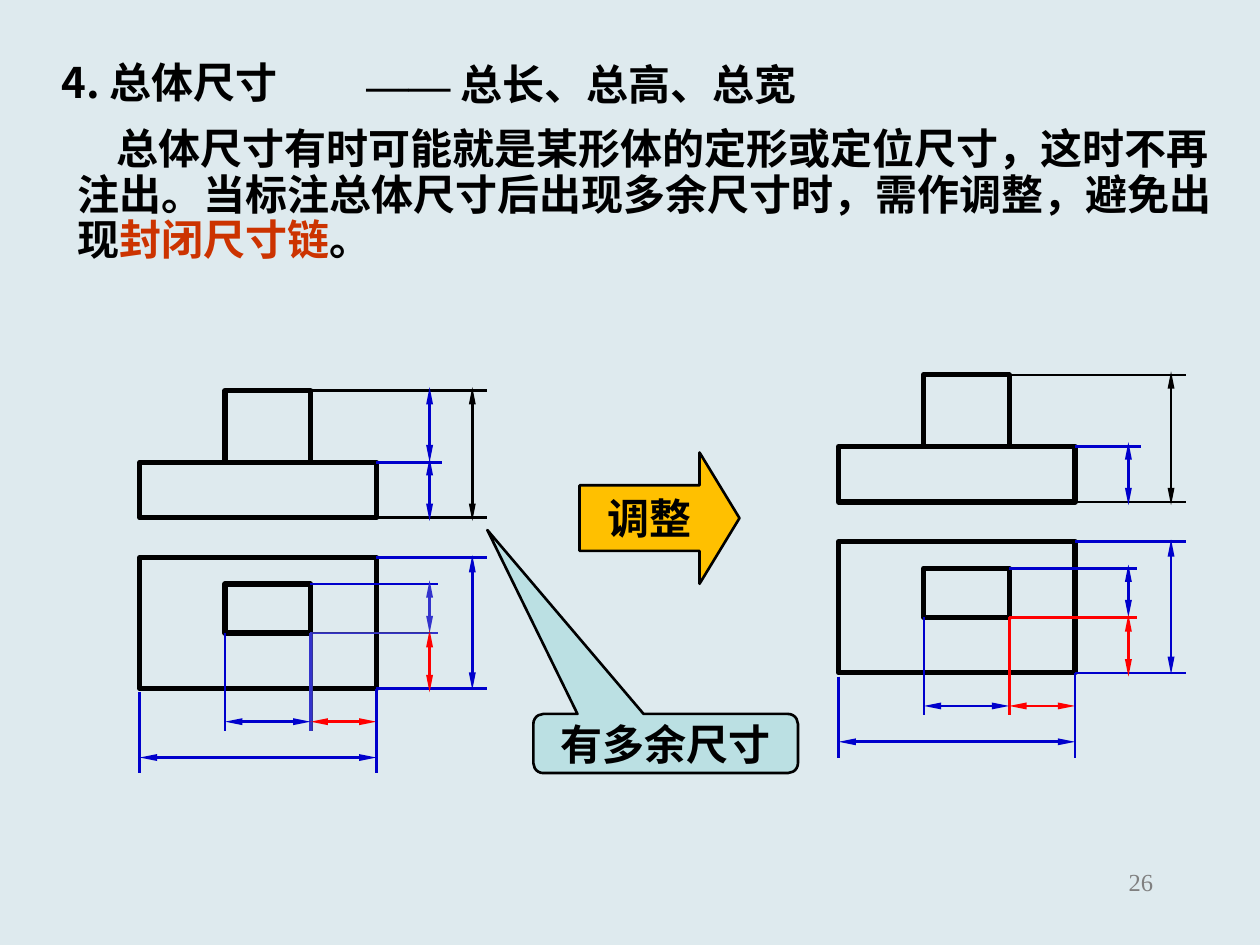
"""Build the overall-dimensions slide with two dimensioned drawings."""
from dataclasses import dataclass

import lxml.etree
import pptx
import pptx.dml.color
import pptx.enum.shapes
import pptx.enum.text
import pptx.oxml.ns
import pptx.util

Pt = pptx.util.Pt
qn = pptx.oxml.ns.qn
Shape = pptx.enum.shapes.MSO_SHAPE
Align = pptx.enum.text.PP_ALIGN
Anchor = pptx.enum.text.MSO_ANCHOR


@dataclass(frozen=True)
class Theme:
    """Colours, fonts and sizes of the slide."""
    background: str = "DEEAEE"
    ink: str = "000000"
    emphasis: str = "CC3300"
    muted: str = "808080"
    blue: str = "0000CC"
    violet: str = "3333CC"
    indigo: str = "333399"
    red: str = "FF0000"
    arrow: str = "FFC000"
    callout: str = "BBE0E3"
    sans: str = "Noto Sans CJK SC"
    serif: str = "Times New Roman"
    text_size: float = 24
    number_size: float = 14
    outline: float = 3
    thin: float = 1.5
    hairline: float = 0.75


THEME = Theme()


@dataclass(frozen=True)
class Box:
    """Rectangle in points."""
    x: float
    y: float
    w: float
    h: float

    def place(self) -> tuple:
        """Return the position and size as lengths."""
        return Pt(self.x), Pt(self.y), Pt(self.w), Pt(self.h)


@dataclass(frozen=True)
class Stroke:
    """Extension line, or dimension line when it has arrows."""
    x1: float
    y1: float
    x2: float
    y2: float
    color: str
    arrows: bool = False
    width: float = THEME.thin


@dataclass(frozen=True)
class Drawing:
    """Origin of a two-view drawing and what varies in it."""
    x: float
    y: float
    corner: str
    boss_depth: str
    extra: tuple = ()


PARTS = (
    Box(0, 41, 135.2, 31.7),
    Box(48.7, 0, 48.8, 41),
    Box(0, 95.4, 135.2, 74.9),
    Box(48.7, 110.5, 48.8, 28.1),
)
BOSS_HEIGHT = Stroke(165.6, -2, 165.6, 41, THEME.blue, True)
DRAWINGS = (
    Drawing(79.9, 223.2, THEME.violet, THEME.violet, (BOSS_HEIGHT,)),
    Drawing(479.2, 214.2, THEME.red, THEME.blue),
)


def rgb(value: str) -> pptx.dml.color.RGBColor:
    """Return a colour object."""
    return pptx.dml.color.RGBColor.from_string(value)


def style_run(run, color: str = THEME.ink, font: str = THEME.sans,
              size: float = THEME.text_size, bold: bool = True) -> None:
    """Format a run, including its East Asian font."""
    run.font.size = Pt(size)
    run.font.bold = bold
    run.font.color.rgb = rgb(color)
    run.font.name = font
    latin = run.font._element.find(qn("a:latin"))
    east_asian = lxml.etree.Element(qn("a:ea"), typeface=font)
    latin.addnext(east_asian)


def add_text(slide, box: Box):
    """Add a wrapping text box and return its frame."""
    frame = slide.shapes.add_textbox(*box.place()).text_frame
    frame.word_wrap = True
    return frame


def add_run(paragraph, text: str, **style) -> None:
    """Append a formatted run."""
    run = paragraph.add_run()
    run.text = text
    style_run(run, **style)


def draw_shape(slide, kind, box: Box, fill: str = "", width: float = THEME.thin):
    """Add an outlined shape."""
    shape = slide.shapes.add_shape(kind, *box.place())
    shape.shadow.inherit = False
    if fill:
        shape.fill.solid()
        shape.fill.fore_color.rgb = rgb(fill)
    else:
        shape.fill.background()
    shape.line.color.rgb = rgb(THEME.ink)
    shape.line.width = Pt(width)
    return shape


def draw_label(slide, kind, box: Box, fill: str, adjustments: tuple, text: str) -> None:
    """Add a filled shape with centred text."""
    shape = draw_shape(slide, kind, box, fill)
    for index, value in enumerate(adjustments):
        shape.adjustments[index] = value
    frame = shape.text_frame
    frame.word_wrap = False
    frame.vertical_anchor = Anchor.MIDDLE
    frame.text = text
    frame.paragraphs[0].alignment = Align.CENTER
    style_run(frame.paragraphs[0].runs[0])


def draw_stroke(slide, stroke: Stroke, x: float = 0, y: float = 0) -> None:
    """Add a line moved by the given origin."""
    line = slide.shapes.add_connector(
        pptx.enum.shapes.MSO_CONNECTOR.STRAIGHT,
        Pt(x + stroke.x1), Pt(y + stroke.y1), Pt(x + stroke.x2), Pt(y + stroke.y2))
    line.line.color.rgb = rgb(stroke.color)
    line.line.width = Pt(stroke.width)
    properties = line._element.spPr
    if stroke.arrows:
        for end in ("a:headEnd", "a:tailEnd"):
            lxml.etree.SubElement(properties.find(qn("a:ln")), qn(end),
                                  type="triangle", w="sm", len="lg")
    lxml.etree.SubElement(properties, qn("a:effectLst"))


def dimension_strokes(drawing: Drawing) -> tuple:
    """Return the extension and dimension lines of a drawing."""
    ink, blue, red = THEME.ink, THEME.blue, THEME.red
    return (
        Stroke(97.5, 0, 198.6, 0, ink),
        Stroke(135.2, 41, 172.6, 41, blue),
        Stroke(135.2, 72.7, 198.6, 72.7, ink),
        Stroke(165.6, 38.5, 165.6, 74.5, blue, True),
        Stroke(190, -2, 190, 74.5, ink, True),
        Stroke(135.2, 95.4, 198.6, 95.4, blue),
        Stroke(135.2, 170.3, 198.6, 170.3, blue),
        Stroke(190, 94, 190, 171, blue, True),
        Stroke(97.5, 110.5, 170.6, 110.5, blue),
        Stroke(97.5, 138.6, 170.6, 138.6, drawing.corner),
        Stroke(165.6, 138.6, 165.6, 108.4, drawing.boss_depth, True),
        Stroke(165.6, 136.8, 165.6, 172.4, red, True),
        Stroke(48.7, 138.6, 48.7, 194.5, blue),
        Stroke(97.5, 138.6, 97.5, 194.5, drawing.corner),
        Stroke(97.5, 189.2, 48.7, 189.2, blue, True),
        Stroke(97.5, 189.2, 135.2, 189.2, red, True),
        Stroke(0, 172.4, 0, 218.8, blue),
        Stroke(135.2, 170.3, 135.2, 218.8, blue),
        Stroke(0, 209.7, 135.2, 209.7, blue, True),
    ) + drawing.extra


def write_text(slide) -> None:
    """Write the title, subtitle, explanation and slide number."""
    title = slide.shapes.title
    title.left, title.top, title.width, title.height = Box(28.1, 28.8, 180, 36).place()
    title.text_frame.text = "4. 总体尺寸"
    title.text_frame.vertical_anchor = Anchor.TOP
    title.text_frame.paragraphs[0].alignment = Align.LEFT
    style_run(title.text_frame.paragraphs[0].runs[0])

    subtitle = add_text(slide, Box(202.3, 30.2, 517.7, 36)).paragraphs[0]
    add_run(subtitle, "—— ", font=THEME.serif)
    add_run(subtitle, "总长、总高、总宽")

    frame = add_text(slide, Box(37.4, 69.8, 682.6, 85))
    frame.vertical_anchor = Anchor.MIDDLE
    explanation = frame.paragraphs[0]
    explanation.line_spacing = 0.9
    explanation._p.get_or_add_pPr().set("indent", str(Pt(22.3)))
    add_run(explanation, "总体尺寸有时可能就是某形体的定形或定位尺寸，这时不再注出。"
                         "当标注总体尺寸后出现多余尺寸时，需作调整，避免出现")
    add_run(explanation, "封闭尺寸链", color=THEME.emphasis)
    add_run(explanation, "。")

    number = add_text(slide, Box(516.2, 491.8, 149.8, 36)).paragraphs[0]
    number.alignment = Align.RIGHT
    add_run(number, "26", color=THEME.muted, font=THEME.serif,
            size=THEME.number_size, bold=False)


def main() -> None:
    """Build and save the slide."""
    deck = pptx.Presentation()
    deck.slide_width, deck.slide_height = Pt(720), Pt(540)
    slide = deck.slides.add_slide(deck.slide_layouts[5])
    slide.background.fill.solid()
    slide.background.fill.fore_color.rgb = rgb(THEME.background)
    write_text(slide)
    for drawing in DRAWINGS:
        for part in PARTS:
            box = Box(drawing.x + part.x, drawing.y + part.y, part.w, part.h)
            draw_shape(slide, Shape.RECTANGLE, box, width=THEME.outline)
        for stroke in dimension_strokes(drawing):
            draw_stroke(slide, stroke, drawing.x, drawing.y)
    for x, y in ((178.5, 417.6), (247, 361.4)):
        draw_stroke(slide, Stroke(178.5, 361.4, x, y, THEME.indigo, width=THEME.hairline))
    draw_label(slide, Shape.ROUNDED_RECTANGULAR_CALLOUT, Box(304.8, 408, 151.2, 33.8),
               THEME.callout, (-0.674, -3.611, 0.167), "有多余尺寸")
    draw_label(slide, Shape.RIGHT_ARROW, Box(331.2, 258.6, 91.4, 75),
               THEME.arrow, (0.5, 0.304), "调整")
    deck.save("out.pptx")


if __name__ == "__main__":
    main()
